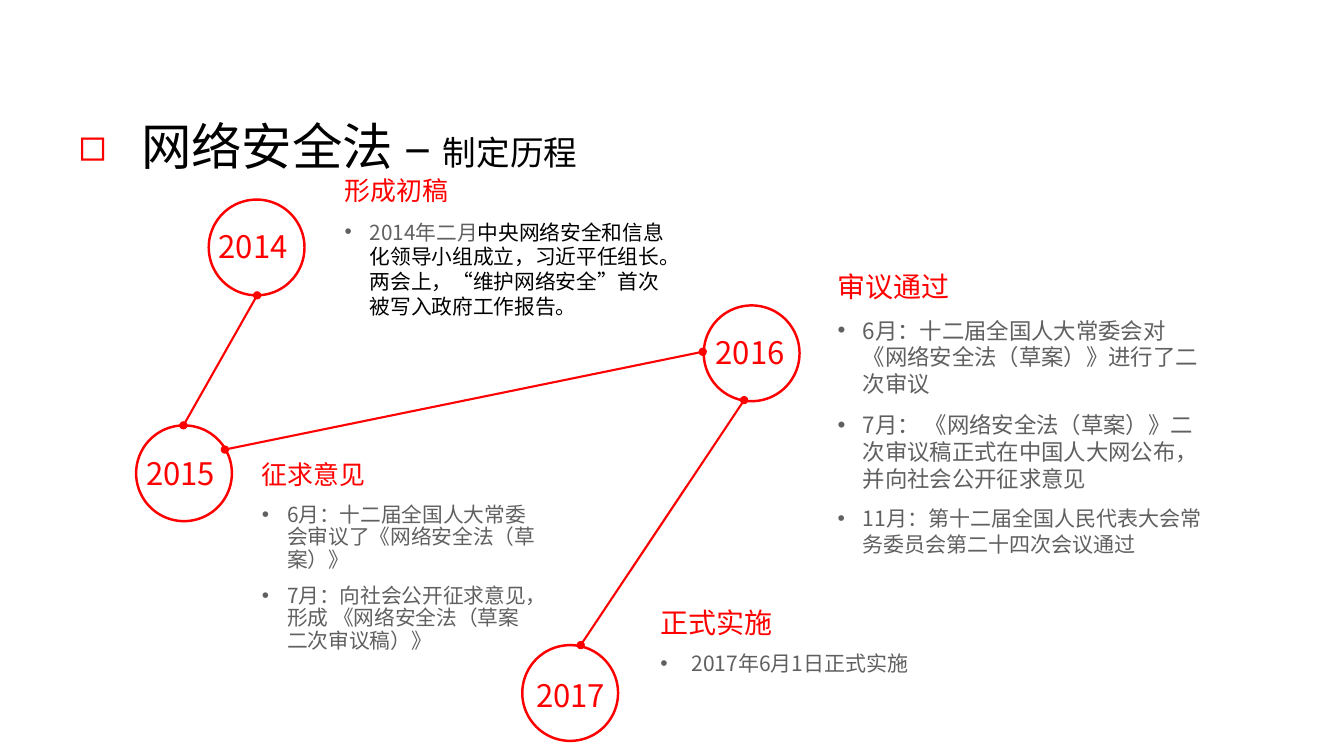
from lxml.etree import SubElement
from pptx import Presentation
from pptx.dml.color import RGBColor
from pptx.enum.shapes import MSO_CONNECTOR as Connector, MSO_SHAPE as Shape
from pptx.enum.text import MSO_ANCHOR as Anchor, PP_ALIGN as Align
from pptx.oxml.ns import qn
from pptx.util import Inches, Pt

RED = RGBColor(0xFF, 0x00, 0x00)
GRAY = RGBColor(0x60, 0x60, 0x60)
BLACK = RGBColor(0x00, 0x00, 0x00)
CJK = "Noto Sans CJK SC"
LATIN = "Arial"


class TimelineSlide:
    """Holds the timeline style and the slide being drawn."""

    def __init__(self, deck):
        self.slide = deck.slides.add_slide(deck.slide_layouts[5])
        self.diameter = 0.95

    def style_run(self, run, size, color, latin=CJK):
        run.font.size = Pt(size)
        run.font.bold = False
        run.font.color.rgb = color
        run.font.name = latin
        SubElement(run.font._element, qn("a:ea"), typeface=CJK)

    def bullet(self, paragraph, indent, char, color=None, percent=None):
        props = paragraph._p.get_or_add_pPr()
        props.set("marL", str(Inches(indent)))
        props.set("indent", str(-Inches(indent)))
        if color is not None:
            fill = SubElement(props, qn("a:buClr"))
            SubElement(fill, qn("a:srgbClr"), val=str(color))
        if percent:
            SubElement(props, qn("a:buSzPct"), val=str(percent * 1000))
        SubElement(props, qn("a:buFont"), typeface=LATIN)
        SubElement(props, qn("a:buChar"), char=char)

    def title(self, main, detail):
        title = self.slide.shapes.title
        title.left, title.top = Inches(0.68), Inches(1.21)
        title.width, title.height = Inches(11.35), Inches(0.55)
        frame = title.text_frame
        frame.word_wrap = True
        frame.vertical_anchor = Anchor.MIDDLE
        heading = frame.paragraphs[0]
        heading.alignment = Align.LEFT
        heading.line_spacing = 0.9
        self.bullet(heading, 0.62, "◻", RED, 90)
        for text, size in ((main, 36), (detail, 24)):
            run = heading.add_run()
            run.text = text
            self.style_run(run, size, BLACK, LATIN)

    def text_box(self, left, top, width, height):
        box = self.slide.shapes.add_textbox(
            Inches(left), Inches(top), Inches(width), Inches(height))
        box.text_frame.word_wrap = True
        return box.text_frame

    def year(self, text, circle, label):
        ring = self.slide.shapes.add_shape(
            Shape.OVAL, *map(Inches, circle), Inches(self.diameter), Inches(self.diameter))
        ring.shadow.inherit = False
        ring.fill.background()
        ring.line.color.rgb = RED
        ring.line.width = Pt(1.75)
        frame = self.text_box(*label, 0.98, 0.68)
        frame.text = text
        self.style_run(frame.paragraphs[0].runs[0], 22.2, RED)

    def link(self, start, end):
        line = self.slide.shapes.add_connector(
            Connector.STRAIGHT, *map(Inches, start + end))
        line.line.color.rgb = RED
        line.line.width = Pt(1.5)
        outline = line.line._get_or_add_ln()
        for tip in ("a:headEnd", "a:tailEnd"):
            SubElement(outline, qn(tip), type="oval")
        SubElement(line._element.spPr, qn("a:effectLst"))

    def milestone(self, area, heading, heading_size, items, indent=0.25,
                  heading_spacing=1.0, item_spacing=1.0):
        frame = self.text_box(*area)
        frame.text = heading
        first = frame.paragraphs[0]
        first.line_spacing = heading_spacing
        self.style_run(first.runs[0], heading_size, RED)
        for size, *parts in items:
            item = frame.add_paragraph()
            item.space_before = Pt(10)
            item.line_spacing = item_spacing
            self.bullet(item, indent, "•")
            for text, color, latin in parts:
                run = item.add_run()
                run.text = text
                self.style_run(run, size, color, latin)


def main():
    deck = Presentation()
    deck.slide_width, deck.slide_height = Inches(13.33), Inches(7.5)
    timeline = TimelineSlide(deck)
    timeline.title("网络安全法 – ", "制定历程")

    for text, circle, label in (
        ("2014", (2.07, 1.98), (2.07, 2.21)),
        ("2015", (1.35, 4.22), (1.35, 4.46)),
        ("2016", (6.98, 3.03), (7, 3.26)),
        ("2017", (5.18, 6.4), (5.22, 6.66)),
    ):
        timeline.year(text, circle, label)

    for start, end in (
        ((2.55, 2.93), (1.82, 4.22)),
        ((6.97, 3.49), (2.23, 4.46)),
        ((7.38, 3.97), (5.76, 6.4)),
    ):
        timeline.link(start, end)

    timeline.milestone((3.32, 1.68, 3.37, 1.68), "形成初稿", 18.5, [
        (14.8, ("2014年二月", GRAY, CJK),
         ("中央网络安全和信息化领导小组成立，习近平任组长。两会上，“维护网络安全”首次被写入政府工作报告。",
          BLACK, LATIN)),
    ])
    timeline.milestone((2.5, 4.54, 2.91, 2.12), "征求意见", 18.5, [
        (14.8, ("6月：十二届全国人大常委会审议了《网络安全法（草案）》", GRAY, CJK)),
        (14.8, ("7月：向社会公开征求意见，形成 《网络安全法（草案二次审议稿）》", GRAY, CJK)),
    ], heading_spacing=0.9, item_spacing=0.9)
    timeline.milestone((8.21, 2.62, 3.84, 2.96), "审议通过", 20, [
        (16, ("6月：十二届全国人大常委会对《网络安全法（草案）》进行了二次审议", GRAY, CJK)),
        (16, ("7月： 《网络安全法（草案）》二次审议稿正式在中国人大网公布，并向社会公开征求意见",
              GRAY, CJK)),
        (15, ("11月：第十二届全国人民代表大会常务委员会第二十四次会议通过", GRAY, CJK)),
    ])
    timeline.milestone((6.45, 5.96, 2.91, 1.68), "正式实施", 20, [
        (15, ("2017年6月1日正式实施", GRAY, CJK)),
    ], indent=0.31, item_spacing=0.9)

    deck.save("out.pptx")


if __name__ == "__main__":
    main()
